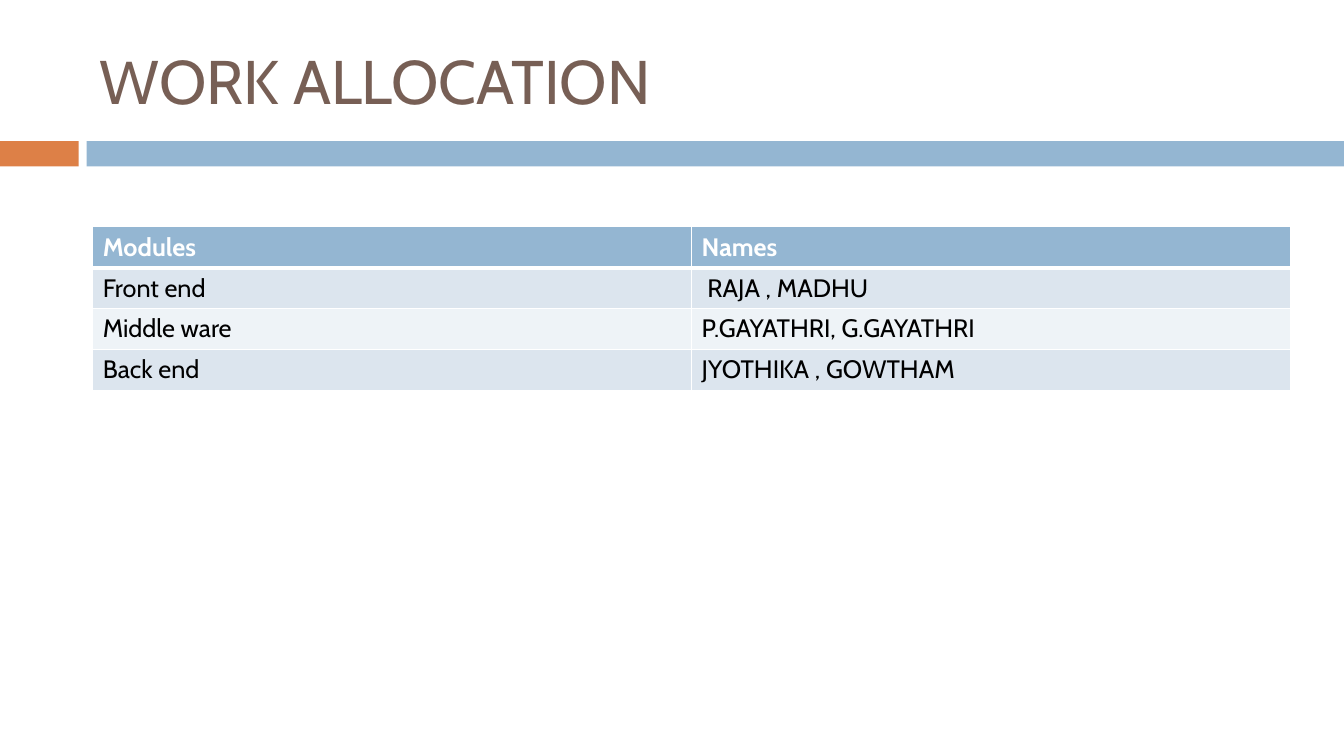
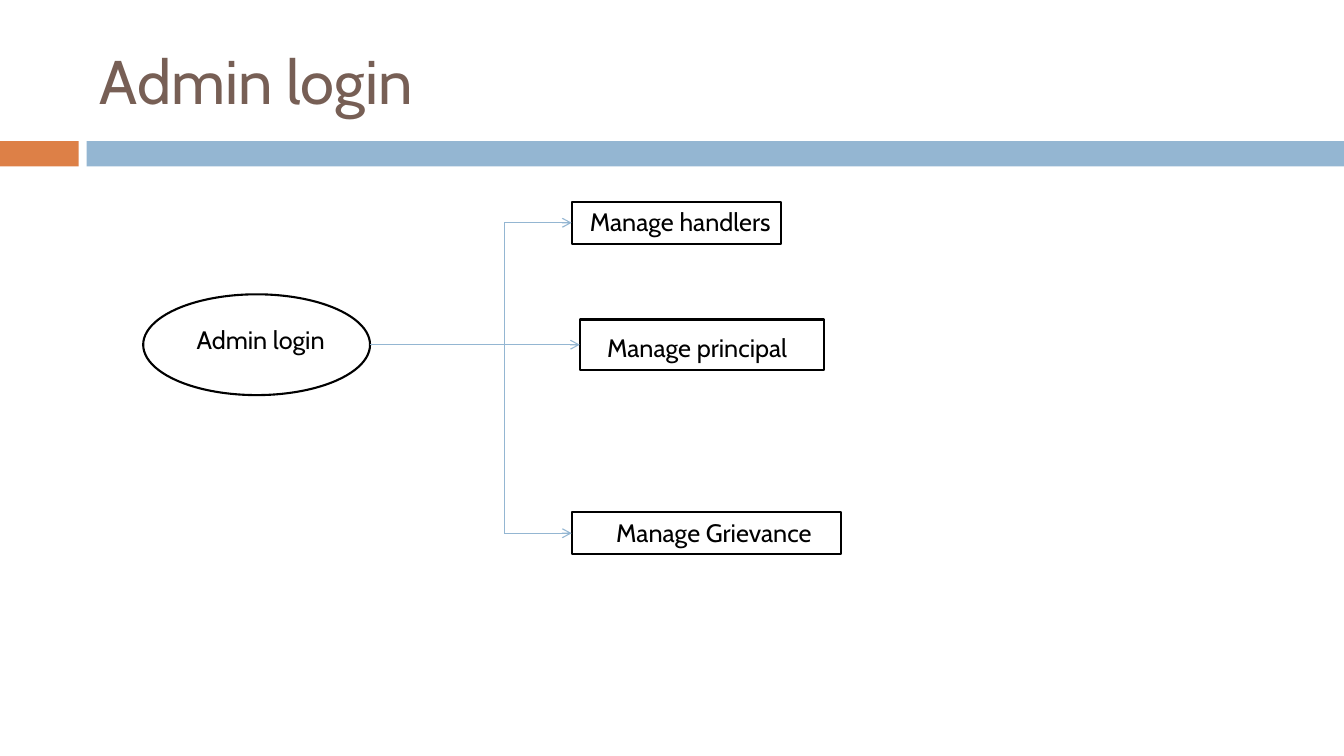
from lxml import etree
from pptx import Presentation
from pptx.dml.color import RGBColor
from pptx.enum.shapes import MSO_CONNECTOR, MSO_SHAPE
from pptx.enum.text import MSO_ANCHOR, PP_ALIGN
from pptx.oxml.ns import qn
from pptx.util import Inches, Pt

RECTANGLE = MSO_SHAPE.RECTANGLE
OVAL = MSO_SHAPE.OVAL
STRAIGHT = MSO_CONNECTOR.STRAIGHT
LEFT = PP_ALIGN.LEFT
CENTER = PP_ALIGN.CENTER
TOP = MSO_ANCHOR.TOP
MIDDLE = MSO_ANCHOR.MIDDLE
LEFT_SIDE = 1

FONT = "Cabin"
BLUE = "94B6D2"
ORANGE = "DD8047"
BROWN = "775F55"
BLACK = "000000"
WHITE = "FFFFFF"
ROW_FILLS = ("DCE5EE", "EEF3F7")

TITLE_BOX = (0.89, 0.25, 11.89, 1.08)
BANDS = (((0, 1.4, 0.78, 0.25), ORANGE), ((0.86, 1.4, 12.47, 0.25), BLUE))


def color(hex_string):
    return RGBColor.from_string(hex_string)


def lengths(box):
    return [Inches(value) for value in box]


def add_text(paragraph, text, size=18, fill=BLACK, bold=False, align=LEFT):
    paragraph.alignment = align
    run = paragraph.add_run()
    run.text = text
    run.font.name = FONT
    run.font.size = Pt(size)
    run.font.bold = bold
    run.font.color.rgb = color(fill)


def prepare_layout(presentation):
    layout = presentation.slide_layouts.get_by_name("Title Only")
    title = layout.placeholders[0]
    title.left, title.top, title.width, title.height = lengths(TITLE_BOX)
    return layout


def add_bands(layout, slide):
    for box, fill in BANDS:
        band = slide.shapes.add_shape(RECTANGLE, *lengths(box))
        band.shadow.inherit = False
        band.fill.solid()
        band.fill.fore_color.rgb = color(fill)
        band.line.fill.background()
        layout.shapes.element.append(band.element)


def add_titled_slide(presentation, layout, text):
    slide = presentation.slides.add_slide(layout)
    frame = slide.shapes.title.text_frame
    frame.vertical_anchor = MIDDLE
    add_text(frame.paragraphs[0], text, size=44, fill=BROWN)
    return slide


def set_borders(cell, top, bottom):
    properties = cell._tc.get_or_add_tcPr()
    widths = (("a:lnL", 1), ("a:lnR", 1), ("a:lnT", top), ("a:lnB", bottom))
    for position, (tag, width) in enumerate(widths):
        border = etree.Element(qn(tag), w=str(Pt(width)))
        fill = etree.SubElement(border, qn("a:solidFill"))
        etree.SubElement(fill, qn("a:srgbClr"), val=WHITE)
        properties.insert(position, border)


def add_allocation_table(slide, box, rows):
    frame = slide.shapes.add_table(len(rows), len(rows[0]), *lengths(box))
    for row_index, row in enumerate(rows):
        is_header = row_index == 0
        for column_index, text in enumerate(row):
            cell = frame.table.cell(row_index, column_index)
            cell.fill.solid()
            fill = BLUE if is_header else ROW_FILLS[(row_index - 1) % 2]
            cell.fill.fore_color.rgb = color(fill)
            set_borders(cell, 3 if row_index == 1 else 1, 3 if is_header else 1)
            add_text(cell.text_frame.paragraphs[0], text,
                     fill=WHITE if is_header else BLACK, bold=is_header)


def add_node(slide, kind, box, text, margins, align=CENTER, anchor=TOP):
    node = slide.shapes.add_shape(kind, *lengths(box))
    node.shadow.inherit = False
    node.fill.background()
    node.line.color.rgb = color(BLACK)
    node.line.width = Pt(1.5)
    frame = node.text_frame
    frame.word_wrap = True
    frame.vertical_anchor = anchor
    (frame.margin_left, frame.margin_top,
     frame.margin_right, frame.margin_bottom) = lengths(margins)
    add_text(frame.paragraphs[0], text, align=align)
    return node


def add_line(slide, start, end, target=None):
    line = slide.shapes.add_connector(STRAIGHT, *start, *end)
    line.line.color.rgb = color(BLUE)
    line.line.width = Pt(0.79)
    properties = line.element.spPr
    etree.SubElement(properties, qn("a:effectLst"))
    if target is not None:
        outline = properties.find(qn("a:ln"))
        etree.SubElement(outline, qn("a:tailEnd"), type="arrow")
        line.end_connect(target, LEFT_SIDE)


def add_login_tree(slide, box):
    left, top, width, height = box
    login = add_node(slide, OVAL, (left, top + 0.92, 2.25, 1), "Admin login",
                     (0.08, 0, 0, 0.1), anchor=MIDDLE)
    branches = (
        ("Manage handlers", (4.25, 0, 2.08, 0.42), (0.18, 0.05, 0, 0), LEFT),
        ("Manage principal", (4.33, 1.17, 2.42, 0.5), (0.1, 0.13, 0.19, 0), CENTER),
        ("Manage Grievance", (4.25, 3.08, 2.67, 0.42), (0.26, 0.05, 0.11, 0), CENTER),
    )
    trunk = Inches(left + 3.58)
    login_middle = login.top + login.height // 2
    add_line(slide, (login.left + login.width, login_middle), (trunk, login_middle))
    for text, (x, y, node_width, node_height), margins, align in branches:
        node = add_node(slide, RECTANGLE, (left + x, top + y, node_width, node_height),
                        text, margins, align)
        middle = node.top + node.height // 2
        if middle != login_middle:
            add_line(slide, (trunk, login_middle), (trunk, middle))
        add_line(slide, (trunk, middle), (node.left, middle), node)


def main():
    presentation = Presentation()
    presentation.slide_width = Inches(13.33)
    presentation.slide_height = Inches(7.5)
    layout = prepare_layout(presentation)

    allocation = add_titled_slide(presentation, layout, "WORK ALLOCATION")
    add_bands(layout, allocation)
    add_allocation_table(allocation, (0.92, 2.25, 11.88, 1.62), (
        ("Modules", "Names"),
        ("Front end", " RAJA , MADHU"),
        ("Middle ware", "P.GAYATHRI, G.GAYATHRI"),
        ("Back end", "JYOTHIKA , GOWTHAM"),
    ))

    login = add_titled_slide(presentation, layout, "Admin login")
    add_login_tree(login, (1.42, 2, 6.92, 3.5))

    presentation.save("out.pptx")


if __name__ == "__main__":
    main()
